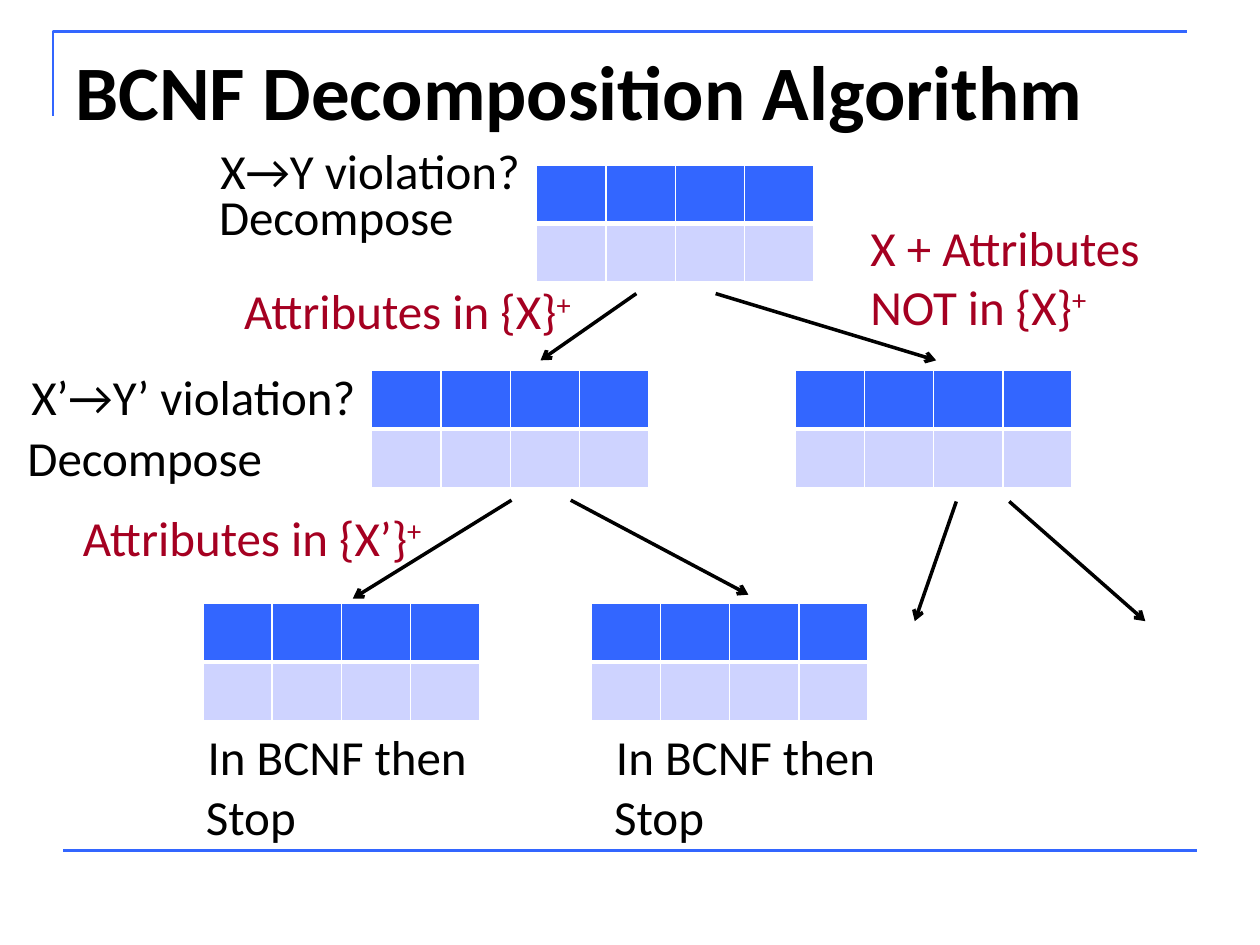
"""Build a slide that shows the BCNF decomposition algorithm as a tree of tables."""
from itertools import product
from lxml.etree import SubElement
from pptx import Presentation
from pptx.dml.color import RGBColor
from pptx.enum.shapes import MSO_CONNECTOR
from pptx.enum.text import MSO_ANCHOR, MSO_AUTO_SIZE
from pptx.oxml.ns import qn
from pptx.util import Inches, Pt

INK = {"blue": "3366FF", "pale": "CED3FF", "red": "A50021", "black": "000000", "white": "FFFFFF"}

deck = Presentation()
deck.slide_width, deck.slide_height = Inches(10), Inches(7.5)
slide = deck.slides.add_slide(deck.slide_layouts[6])
shapes = slide.shapes
unit = deck.slide_width / 100


def grid(*marks):
    return [round(mark * unit) for mark in marks]


def write(box, runs, ink, size, bold=False):
    frame = shapes.add_textbox(*grid(*box)).text_frame
    frame.word_wrap = False
    frame.vertical_anchor = MSO_ANCHOR.TOP
    frame.auto_size = MSO_AUTO_SIZE.NONE if bold else MSO_AUTO_SIZE.SHAPE_TO_FIT_TEXT
    para = frame.paragraphs[0]
    for text in runs:
        if text == "\n":
            para.add_line_break()
            continue
        run = para.add_run()
        run.text = text
        run.font.name, run.font.size, run.font.bold = "Calibri", Pt(size), bold
        run.font.color.rgb = RGBColor.from_string(INK[ink])
        if text == "+":
            run.font._element.set("baseline", "30000")


left, top, right, low = grid(4.2, 2.5, 94.2, 9.2)
pen = shapes.build_freeform(left, low)
pen.add_line_segments([(left, top), (right, top)], close=False)
frame = pen.convert_to_shape()
frame.shadow.inherit = False
frame.fill.background()
frame.line.color.rgb = RGBColor.from_string(INK["blue"])
frame.line.width = Pt(1.5)

write((5, 3, 90, 12.5), ["BCNF Decomposition Algorithm"], "black", 44, True)

wide, high = grid(5.5, 4.65)
for x, y in [(42.6, 13.1), (29.5, 29.4), (63.1, 29.4), (16.1, 47.9), (46.9, 47.9)]:
    table = shapes.add_table(2, 4, *grid(x, y, 22, 9.3)).table
    for col in table.columns:
        col.width = wide
    for row in table.rows:
        row.height = high
    for row, col in product(range(2), range(4)):
        cell = table.cell(row, col)
        props = cell._tc.get_or_add_tcPr()
        for side in "LRTB":
            thick = 3 if (row, side) in [(0, "B"), (1, "T")] else 1
            edge = SubElement(props, qn(f"a:ln{side}"), w=str(Pt(thick)))
            paint = SubElement(edge, qn("a:solidFill"))
            SubElement(paint, qn("a:srgbClr"), val=INK["white"])
        cell.fill.solid()
        cell.fill.fore_color.rgb = RGBColor.from_string(INK["pale" if row else "blue"])

lines = [
    ((5, 67.5, 95, 67.5), "blue", 1.5),
    ((50.5, 23.3, 42.9, 28.6), "black", 2),
    ((56.8, 23.3, 74.3, 28.6), "black", 2),
    ((40.6, 39.7, 28, 47.5), "black", 2),
    ((45.3, 39.7, 59.4, 47.2), "black", 2),
    ((75.9, 39.8, 72.6, 49.3), "black", 2),
    ((80.1, 39.8, 90.9, 49.3), "black", 2),
]
for ends, ink, width in lines:
    link = shapes.add_connector(MSO_CONNECTOR.STRAIGHT, *grid(*ends))
    link.line.color.rgb = RGBColor.from_string(INK[ink])
    link.line.width = Pt(width)
    if ink == "black":
        SubElement(link.line._get_or_add_ln(), qn("a:tailEnd"), type="arrow")
    SubElement(link._element.spPr, qn("a:effectLst"))

notes = [
    ((16.5, 10.7, 27.2, 5.7), ["X→Y violation?"], "black"),
    ((16.4, 14.3, 21.7, 5.7), ["Decompose"], "black"),
    ((1.5, 28.6, 29, 5.7), ["X’→Y’ violation?"], "black"),
    ((1.2, 33.4, 21.7, 5.7), ["Decompose"], "black"),
    ((18.4, 21.8, 30, 5.7), ["Attributes in {X}", "+"], "red"),
    ((68.1, 16.8, 24.6, 10.4), ["X + Attributes ", "\n", "NOT in {X}", "+"], "red"),
    ((5.6, 39.8, 30.2, 5.7), ["Attributes in {X’}", "+"], "red"),
]
for x, wide in [(15.5, 23.7), (47.9, 22.8)]:
    notes.append(((x, 57.2, wide, 5.7), ["In BCNF then"], "black"))
    notes.append(((x - 0.15, 61.9, 10.1, 5.7), ["Stop"], "black"))
for box, runs, ink in notes:
    write(box, runs, ink, 28)

deck.save("out.pptx")
